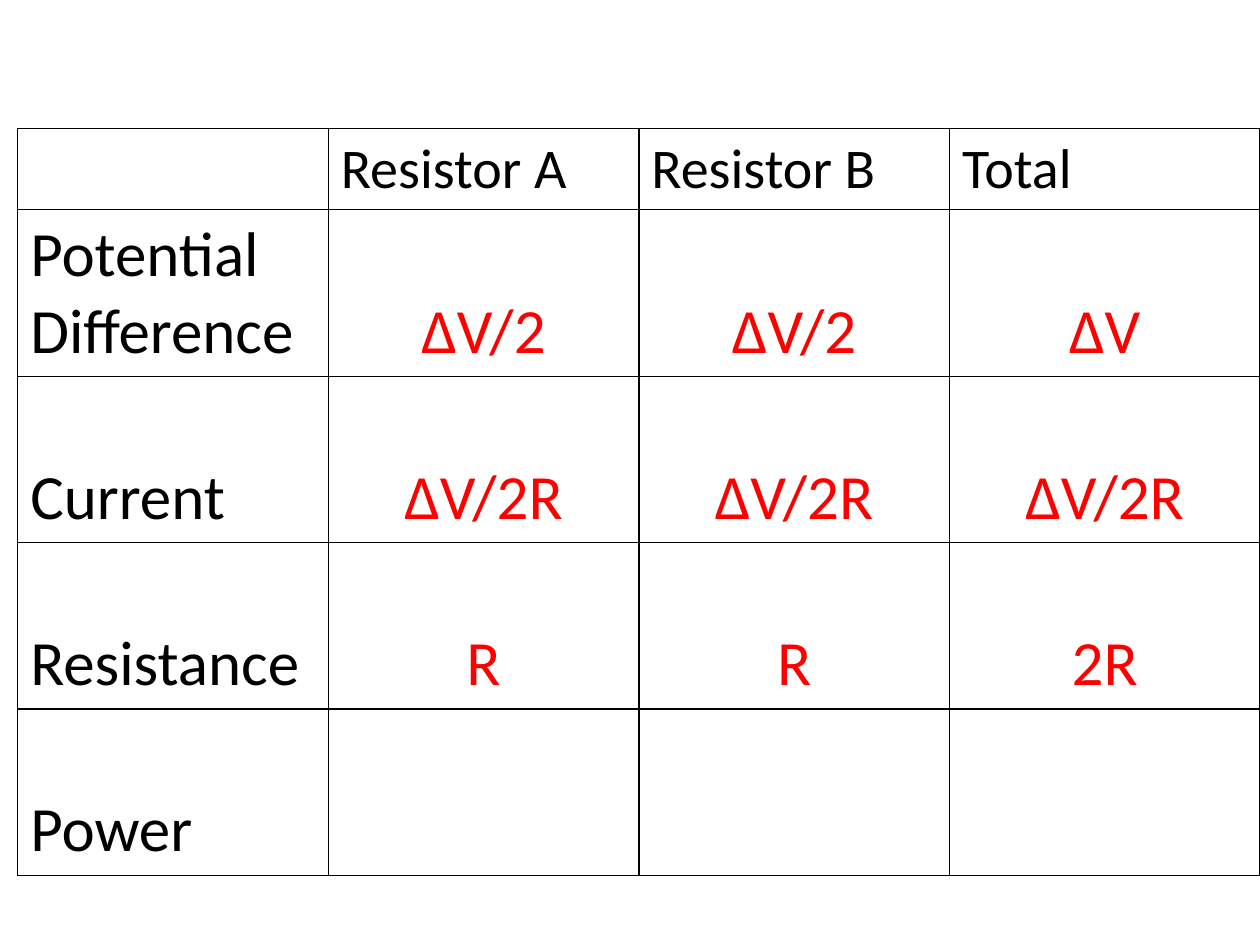
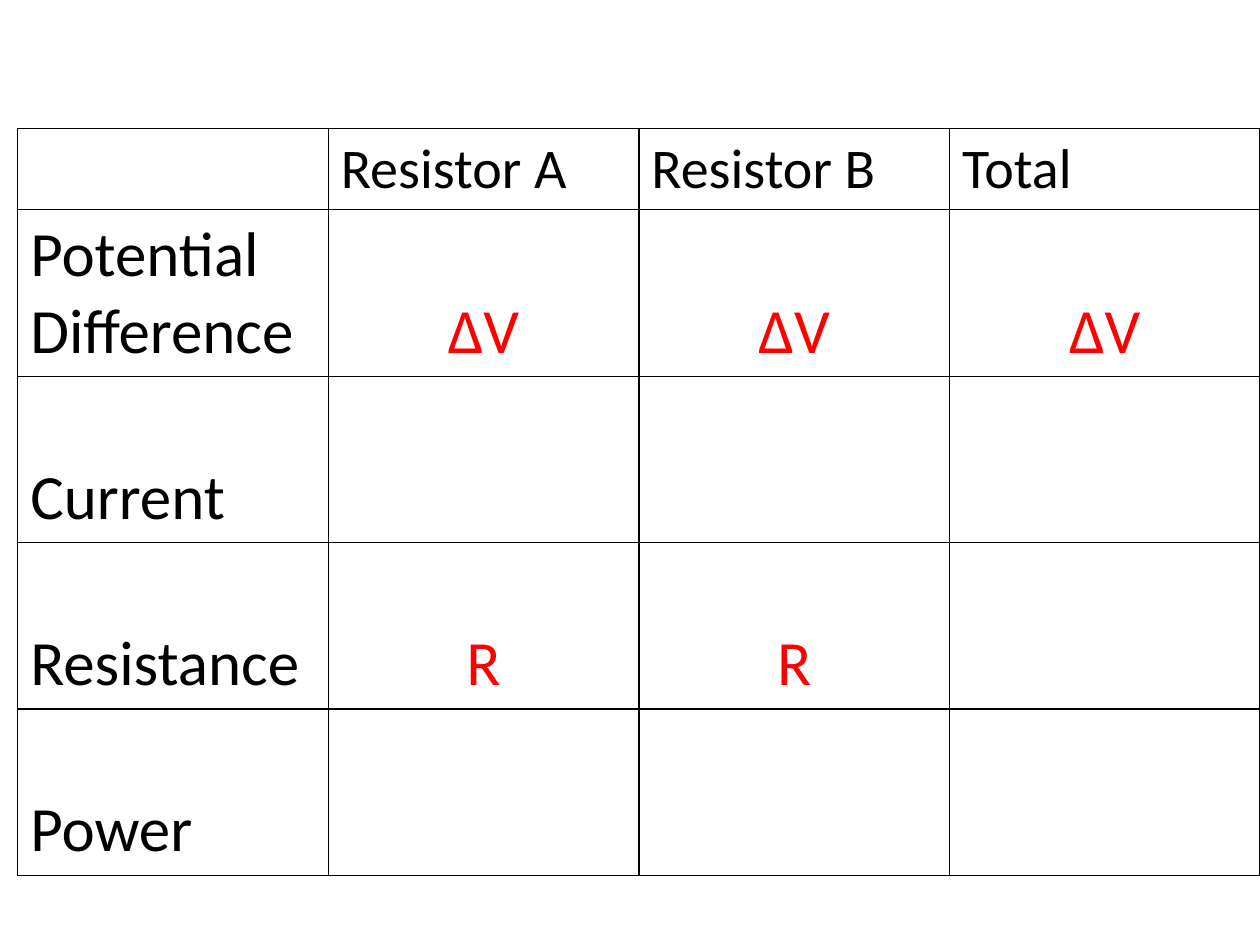
from dataclasses import dataclass

from pptx import Presentation
from pptx.dml.color import RGBColor
from pptx.enum.text import MSO_ANCHOR, PP_ALIGN
from pptx.oxml import parse_xml
from pptx.oxml.ns import nsdecls
from pptx.presentation import Presentation as Deck
from pptx.table import _Cell
from pptx.util import Inches, Pt

BLACK = "000000"
WHITE = "FFFFFF"
RED = "FF0000"
FONT = "Calibri"
BLANK_LAYOUT = 6

HEADINGS = ("", "Resistor A", "Resistor B", "Total")
HEADING_HEIGHT = Inches(0.64)
QUANTITY_HEIGHT = Inches(1.32)


@dataclass(frozen=True)
class Quantity:
    label: str
    answers: tuple[str, str, str] = ("", "", "")


SERIES_CIRCUIT = (
    Quantity("Potential Difference", ("ΔV/2", "ΔV/2", "ΔV")),
    Quantity("Current", ("ΔV/2R", "ΔV/2R", "ΔV/2R")),
    Quantity("Resistance", ("R", "R", "2R")),
    Quantity("Power"),
)
PARALLEL_CIRCUIT = (
    Quantity("Potential Difference", ("ΔV", "ΔV", "ΔV")),
    Quantity("Current"),
    Quantity("Resistance", ("R", "R", "")),
    Quantity("Power"),
)


def rgb(value: str) -> RGBColor:
    return RGBColor.from_string(value)


def write_text(cell: _Cell, text: str, *, size: int = 36, color: str = BLACK,
               align: PP_ALIGN = PP_ALIGN.LEFT,
               anchor: MSO_ANCHOR = MSO_ANCHOR.BOTTOM) -> None:
    cell.vertical_anchor = anchor
    cell.text = text
    paragraph = cell.text_frame.paragraphs[0]
    paragraph.alignment = align
    for font in [paragraph.font] + [run.font for run in paragraph.runs]:
        font.name = FONT
        font.size = Pt(size)
        font.bold = False
        font.color.rgb = rgb(color)


def rule_cell(cell: _Cell) -> None:
    properties = cell._tc.get_or_add_tcPr()
    for side in ("lnL", "lnR", "lnT", "lnB"):
        properties.append(parse_xml(
            f'<a:{side} {nsdecls("a")} w="{Pt(1)}"><a:solidFill>'
            f'<a:srgbClr val="{BLACK}"/></a:solidFill></a:{side}>'))
    cell.fill.solid()
    cell.fill.fore_color.rgb = rgb(WHITE)


def add_circuit_slide(deck: Deck, quantities: tuple[Quantity, ...]) -> None:
    slide = deck.slides.add_slide(deck.slide_layouts[BLANK_LAYOUT])
    height = HEADING_HEIGHT + QUANTITY_HEIGHT * len(quantities)
    circuit = slide.shapes.add_table(
        len(quantities) + 1, len(HEADINGS),
        Inches(0.14), Inches(1.02), Inches(9.86), height).table
    circuit.first_row = False
    circuit.horz_banding = False

    for cell in circuit.iter_cells():
        rule_cell(cell)

    circuit.rows[0].height = HEADING_HEIGHT
    for column, heading in enumerate(HEADINGS):
        write_text(circuit.cell(0, column), heading, size=32,
                   anchor=MSO_ANCHOR.TOP)

    for row, quantity in enumerate(quantities, start=1):
        circuit.rows[row].height = QUANTITY_HEIGHT
        write_text(circuit.cell(row, 0), quantity.label)
        for column, answer in enumerate(quantity.answers, start=1):
            write_text(circuit.cell(row, column), answer, color=RED,
                       align=PP_ALIGN.CENTER)


def main() -> None:
    deck = Presentation()
    deck.slide_width = Inches(10)
    deck.slide_height = Inches(7.5)
    for quantities in (SERIES_CIRCUIT, PARALLEL_CIRCUIT):
        add_circuit_slide(deck, quantities)
    deck.save("out.pptx")


if __name__ == "__main__":
    main()
